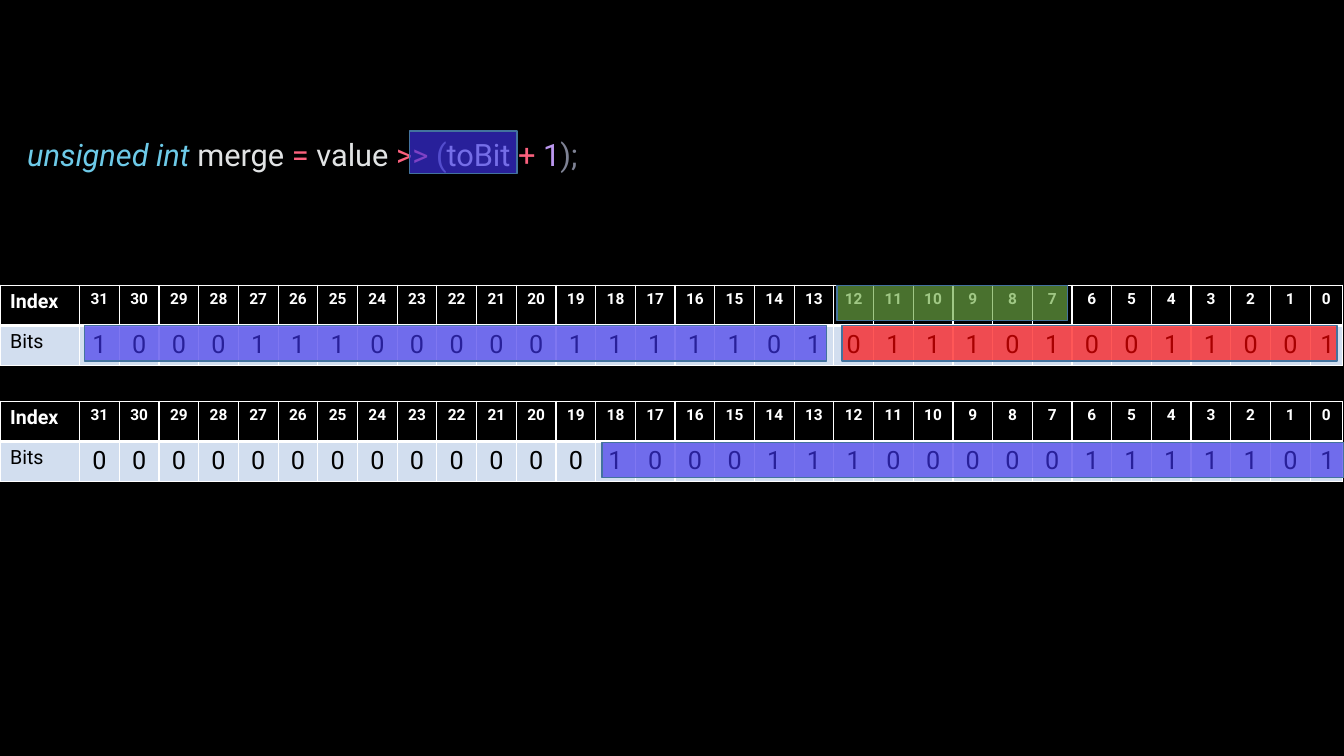
from dataclasses import dataclass

from lxml import etree
from pptx import Presentation
from pptx.dml.color import RGBColor
from pptx.enum.shapes import MSO_SHAPE
from pptx.enum.text import MSO_ANCHOR, MSO_AUTO_SIZE, PP_ALIGN
from pptx.oxml.ns import qn
from pptx.util import Inches, Pt

RECT = MSO_SHAPE.RECTANGLE
LEFT, CENTER = PP_ALIGN.LEFT, PP_ALIGN.CENTER
MIDDLE = MSO_ANCHOR.MIDDLE
NO_FIT = MSO_AUTO_SIZE.NONE


@dataclass(frozen=True)
class Theme:
    font: str = "Roboto"
    black: str = "000000"
    white: str = "FFFFFF"
    band: str = "D2DEEF"
    edge: str = "43739E"
    blue: str = "3E32EB"
    green: str = "70AD47"
    red: str = "FF0000"
    word: str = "6DCAE8"
    name: str = "E1E3E4"
    sign: str = "FB617E"
    mark: str = "7E8294"
    digit: str = "BB97EE"
    code_size: int = 22
    label_size: int = 14
    index_size: int = 11
    bit_size: int = 18
    alpha: int = 66


THEME = Theme()

CODE = [
    ("unsigned int", THEME.word), (" merge ", THEME.name), ("=", THEME.sign),
    (" value ", THEME.name), (">> ", THEME.sign), ("(", THEME.mark),
    ("toBit ", THEME.name), ("+ ", THEME.sign), ("1", THEME.digit),
    (");", THEME.mark),
]
COUNT = 32
HIGH = "1000111000001111101"
LOW = "0111010011001"
TABLES = [(2.83, HIGH + LOW), (3.98, HIGH.zfill(COUNT))]
MARKS = [
    (8.3, 2.83, 2.29, 0.35, THEME.green),
    (0.84, 3.23, 7.36, 0.35, THEME.blue),
    (8.35, 3.23, 4.91, 0.35, THEME.red),
    (5.97, 4.39, 7.36, 0.35, THEME.blue),
    (4.06, 1.3, 1.07, 0.42, THEME.blue),
]
WIDTH, FIRST, LAST, ROW = 13.32, 0.79, 0.32, 0.4


def rgb(color):
    return RGBColor.from_string(color)


def add_text(frame, text, size, color, bold=False, italic=False, align=LEFT):
    """Append a run to the frame's first paragraph."""
    para = frame.paragraphs[0]
    para.alignment = align
    run = para.add_run()
    run.text = text
    font = run.font
    font.name, font.size = THEME.font, Pt(size)
    font.bold, font.italic = bold, italic
    font.color.rgb = rgb(color)


def add_code(slide):
    title = slide.shapes.title
    title.left, title.top = Inches(0.17), Inches(0.4)
    title.width, title.height = Inches(13.09), Inches(2.3)
    frame = title.text_frame
    frame.auto_size = NO_FIT
    frame.vertical_anchor = MIDDLE
    frame.paragraphs[0].line_spacing = 0.9
    for text, color in CODE:
        add_text(frame, text, THEME.code_size, color,
                 italic=color == THEME.word)


def add_edges(cell, **widths):
    """Draw white cell borders; each key is L, R, T or B, in that order."""
    props = cell._tc.get_or_add_tcPr()
    for side, width in widths.items():
        line = etree.SubElement(props, qn(f"a:ln{side}"), w=str(Pt(width)))
        fill = etree.SubElement(line, qn("a:solidFill"))
        etree.SubElement(fill, qn("a:srgbClr"), val=THEME.white)


def fill_row(table, row, texts, size, color, back, **edges):
    """Write a row whose first cell is a label and whose others are digits."""
    bold = row == 0
    for col, text in enumerate(texts):
        cell = table.cell(row, col)
        add_edges(cell, **edges)
        cell.fill.solid()
        cell.fill.fore_color.rgb = rgb(back)
        add_text(cell.text_frame, text, size if col else THEME.label_size,
                 color, bold=bold, align=CENTER if col else LEFT)


def add_bits(slide, top, bits):
    table = slide.shapes.add_table(
        2, COUNT + 1, 0, Inches(top), Inches(WIDTH), Inches(2 * ROW)).table
    pitch = (WIDTH - FIRST - LAST) / (COUNT - 1)
    for col, width in enumerate([FIRST] + [pitch] * (COUNT - 1) + [LAST]):
        table.columns[col].width = Inches(width)
    for row in table.rows:
        row.height = Inches(ROW)
    index = [str(n) for n in reversed(range(COUNT))]
    fill_row(table, 0, ["Index", *index], THEME.index_size,
             THEME.white, THEME.black, L=1, R=1, T=1, B=3)
    fill_row(table, 1, ["Bits", *bits], THEME.bit_size,
             THEME.black, THEME.band, L=1, R=1, T=3, B=1)


def add_mark(slide, left, top, width, height, color):
    """Lay a see-through box over a range of bits or code."""
    box = slide.shapes.add_shape(
        RECT, Inches(left), Inches(top), Inches(width), Inches(height))
    box.shadow.inherit = False
    box.fill.solid()
    box.fill.fore_color.rgb = rgb(color)
    tint = box._element.spPr.find(qn("a:solidFill"))[0]
    etree.SubElement(tint, qn("a:alpha"), val=str(THEME.alpha * 1000))
    box.line.color.rgb = rgb(THEME.edge)
    box.line.width = Pt(1)


def main():
    deck = Presentation()
    deck.slide_width, deck.slide_height = Inches(13.33), Inches(7.5)
    slide = deck.slides.add_slide(deck.slide_layouts.get_by_name("Title Only"))
    back = slide.background.fill
    back.solid()
    back.fore_color.rgb = rgb(THEME.black)
    add_code(slide)
    for top, bits in TABLES:
        add_bits(slide, top, bits)
    for mark in MARKS:
        add_mark(slide, *mark)
    deck.save("out.pptx")


if __name__ == "__main__":
    main()
